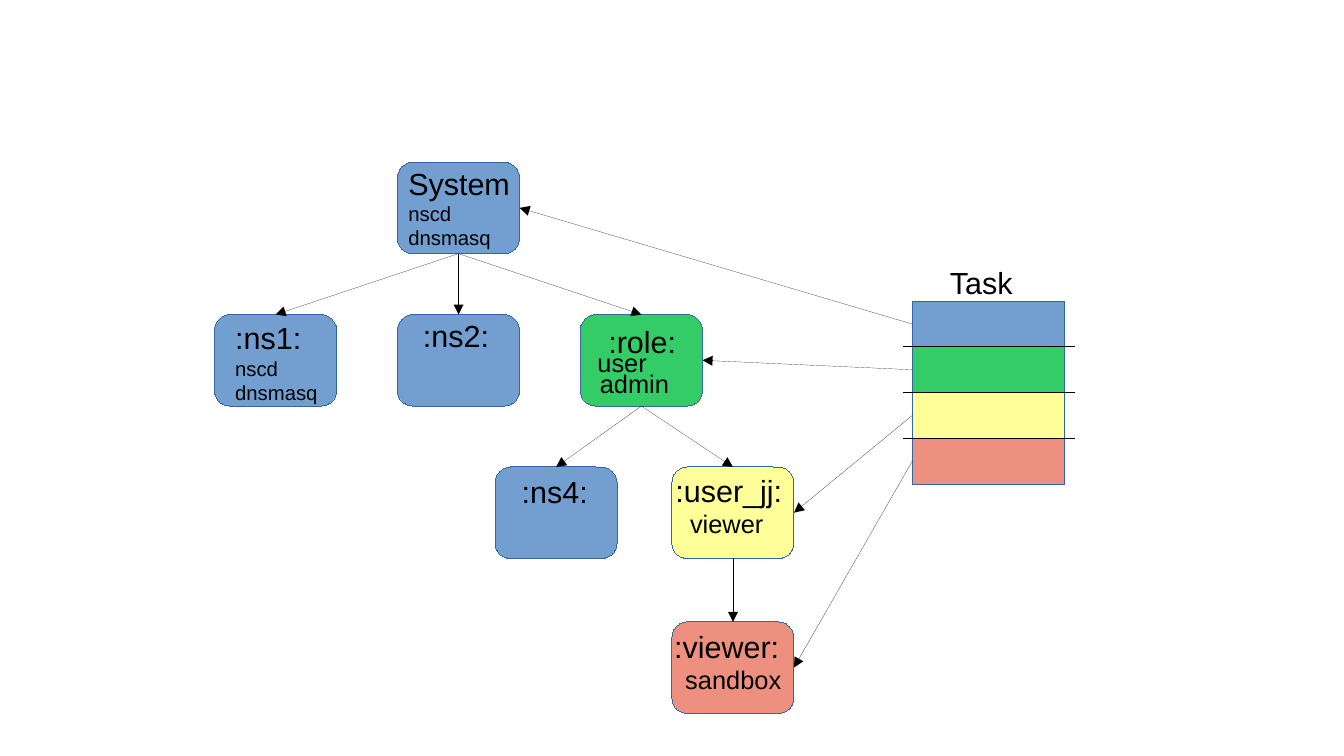
from lxml import etree
from pptx import Presentation
from pptx import util as u
from pptx.dml.color import RGBColor
from pptx.enum import shapes, text
from pptx.oxml.ns import qn

BLUE, GREEN, YELLOW, RED = "729FCF", "33CC66", "FFFF99", "DC2300"
BORDER, BLACK = "3465A4", "000000"
HAIRLINE = u.Emu(1)  # a width of 0 would fall back to the theme's line
TOP, LEFT, BOTTOM, RIGHT = range(4)  # connection sites of a box

prs = Presentation()
prs.slide_width, prs.slide_height = u.Inches(11.02), u.Inches(6.2)
slide = prs.slides.add_slide(prs.slide_layouts[6])


def paint(color_format, color):
    color_format.rgb = RGBColor.from_string(color)


def add_text(lines, left, top, width, height, first_size=18, other_size=12):
    """Unwrapped label whose first line may be larger than the rest."""
    frame = slide.shapes.add_textbox(*map(u.Inches, (left, top, width, height))).text_frame
    frame.word_wrap = False
    frame.auto_size = text.MSO_AUTO_SIZE.SHAPE_TO_FIT_TEXT
    frame.margin_right = 0  # spare room keeps each line whole
    frame.text = lines
    for number, paragraph in enumerate(frame.paragraphs):
        paragraph.alignment = text.PP_ALIGN.LEFT
        font = paragraph.runs[0].font
        font.name = "Arial"
        font.size = u.Pt(other_size if number else first_size)
        paint(font.color, BLACK)


# Namespace boxes, then the task's stack of namespaces
namespace_spots = {
    "ns4": (4.06, 3.83, BLUE),
    "ns2": (3.26, 2.58, BLUE),
    "ns1": (1.76, 2.58, BLUE),
    "role": (4.76, 2.58, GREEN),
    "user": (5.51, 3.83, YELLOW),
    "system": (3.26, 1.33, BLUE),
    "viewer": (5.51, 5.1, RED),
}
stack_left, stack_top, layer_height = 7.48, 2.47, 0.375
stack_owners = ["system", "role", "user", "viewer"]

blocks = [(name, shapes.MSO_SHAPE.ROUNDED_RECTANGLE, left, top, 1, 0.75, color)
          for name, (left, top, color) in namespace_spots.items()]
blocks += [(f"task {owner}", shapes.MSO_SHAPE.RECTANGLE, stack_left,
            stack_top + level * layer_height, 1.25, layer_height, namespace_spots[owner][2])
           for level, owner in enumerate(stack_owners)]

nodes = {}
for name, outline, left, top, width, height, color in blocks:
    node = slide.shapes.add_shape(outline, *map(u.Inches, (left, top, width, height)))
    node.shadow.inherit = False
    node.fill.solid()
    paint(node.fill.fore_color, color)
    if color == RED:
        srgb = node.fill._xPr.find(".//" + qn("a:srgbClr"))
        etree.SubElement(srgb, qn("a:alpha"), val="50000")
    paint(node.line.color, BORDER)
    node.line.width = HAIRLINE
    nodes[name] = node

# Separators between the stack layers
separators = []
for level in range(1, len(stack_owners)):
    y = u.Inches(stack_top + level * layer_height)
    separators.append(slide.shapes.add_connector(
        shapes.MSO_CONNECTOR.STRAIGHT, u.Inches(7.41), y, u.Inches(8.81), y))

# Parent to child, then stack layer to namespace
links = [(parent, BOTTOM, child, TOP) for parent, child in [
    ("system", "ns1"), ("system", "ns2"), ("system", "role"),
    ("role", "ns4"), ("role", "user"), ("user", "viewer")]]
links += [(f"task {owner}", LEFT, owner, RIGHT) for owner in stack_owners]
arrows = []
for source, source_site, target, target_site in links:
    arrow = slide.shapes.add_connector(shapes.MSO_CONNECTOR.STRAIGHT, 0, 0, 0, 0)
    arrow.begin_connect(nodes[source], source_site)
    arrow.end_connect(nodes[target], target_site)
    arrows.append(arrow)

for connector in separators + arrows:
    paint(connector.line.color, BLACK)
    connector.line.width = HAIRLINE
    etree.SubElement(connector._element.spPr, qn("a:effectLst"))
for arrow in arrows:
    etree.SubElement(arrow.line._get_or_add_ln(), qn("a:tailEnd"), type="triangle")

add_text("System\nnscd\ndnsmasq", 3.25, 1.3, 1.03, 0.75)
add_text(":ns1:\nnscd\ndnsmasq", 1.83, 2.57, 0.88, 0.75)
for heading, left, top, width in [
    (":ns2:", 3.37, 2.55, 0.74),
    (":ns4:", 4.18, 3.83, 0.74),
    (":user_jj:", 5.44, 3.82, 1.07),
    (":role:", 4.89, 2.6, 0.75),
    ("Task", 7.69, 2.12, 0.71),
    (":viewer:", 5.43, 5.1, 1.17),
]:
    add_text(heading, left, top, width, 0.38)
for member, left, top, width in [
    ("user", 4.8, 2.8, 0.61),
    ("admin", 4.82, 2.97, 0.77),
    ("viewer", 5.56, 4.12, 0.9),
    ("sandbox", 5.52, 5.4, 0.99),
]:
    add_text(member, left, top, width, 0.33, first_size=15)

prs.save("out.pptx")
